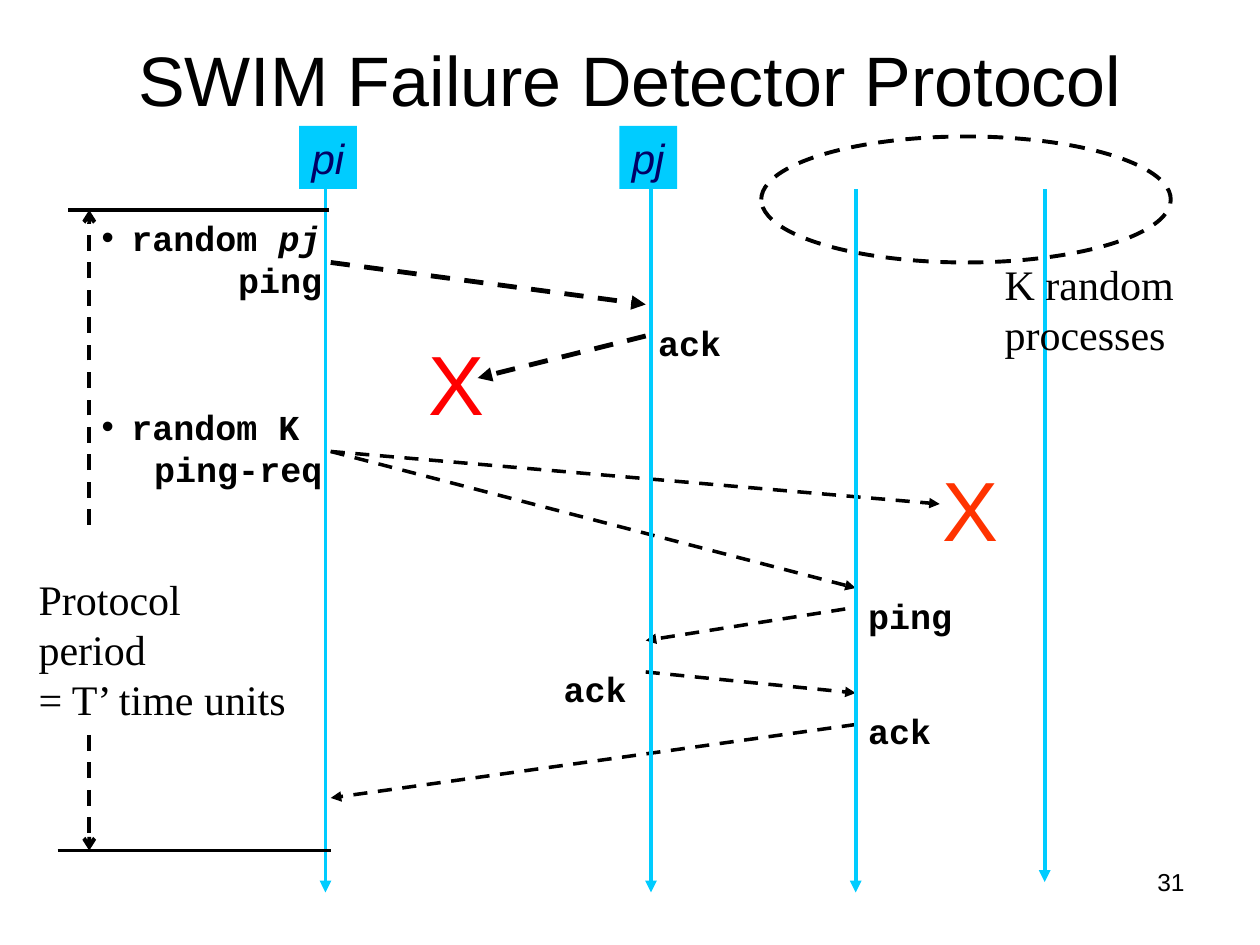
from lxml import etree
from pptx import Presentation
from pptx import util as u
from pptx.dml.color import RGBColor
from pptx.enum import dml, shapes, text
from pptx.oxml.ns import qn

Pt = u.Pt
BLACK, CYAN, NAVY = "000000", "00CCFF", "000066"

# Text formats
CODE = dict(name="Courier New", size=Pt(20), bold=True)
NOTE = dict(name="Times New Roman", size=Pt(24))
CROSS = dict(name="Arial", size=Pt(48))
TITLE = dict(name="Arial", size=Pt(40))
NUMBER = dict(name="Arial", size=Pt(14))
PROCESS = dict(name="Arial", size=Pt(24), italic=True)

# Process timelines: x, top, bottom
PI, PJ, PK = 186, 372, 489
timelines = [(PI, 108, 510), (PJ, 108, 510), (PK, 108, 510), (597, 108, 504)]
process_boxes = [("pi", 171), ("pj", 354)]

# Messages: x1, y1, x2, y2, line width
A, B = 189, 369
messages = [
    (A, 150, B, 174, 2.75),
    (B, 192, 273, 216, 2.75),
    (A, 258, PK, 336, 2),
    (A, 258, 537, 288, 2),
    (483, 348, B, 366, 2),
    (B, 384, PK, 396, 2),
    (PK, 414, A, 456, 2),
]

# Protocol period: horizontal limits, and the arrows that point to them
limits = [(39, 188, 120), (33, 189, 486)]
period_x = 51
period_arrows = [(300, 120), (420, 486)]

# Labels: lines, left, top, width, height, format, colour
labels = [
    (["Protocol", "period", "= T’ time units"], 15, 324, 163, 93.6, NOTE, BLACK),
    (["K random", "processes"], 567, 144, 111, 64.8, NOTE, BLACK),
    (["X"], 237.6, 186, 46, 64.8, CROSS, "FF0000"),
    (["X"], 531.6, 258, 46, 64.8, CROSS, "FF3300"),
    (["ping"], 129, 144, 63, 31.5, CODE, BLACK),
    (["ack"], B, 180, 74, 31.5, CODE, BLACK),
    (["ping-req"], 81, 252, 120, 31.5, CODE, BLACK),
    (["ping"], PK, 336, 74, 31.5, CODE, BLACK),
    (["ack"], 315, 378, 54, 31.5, CODE, BLACK),
    (["ack"], PK, 402, 54, 31.5, CODE, BLACK),
]

# Steps of pi: runs of (text, italic), top
steps = [([("random ", False), ("pj", True)], 120), ([("random K", False)], 228)]

prs = Presentation()
prs.slide_width, prs.slide_height = Pt(720), Pt(540)
s = prs.slides.add_slide(prs.slide_layouts[6])


def rgb(value):
    return RGBColor.from_string(value)


def style(font, fmt, color):
    for key, value in fmt.items():
        setattr(font, key, value)
    font.color.rgb = rgb(color)


def fill_text(sp, lines, fmt, color, align=text.PP_ALIGN.LEFT, wrap=False):
    tf = sp.text_frame
    tf.word_wrap = wrap
    tf.vertical_anchor = text.MSO_ANCHOR.TOP
    for i, line in enumerate(lines):
        p = tf.paragraphs[0] if i == 0 else tf.add_paragraph()
        p.alignment = align
        r = p.add_run()
        r.text = line
        style(r.font, fmt, color)
    return tf


def add_text(lines, x, y, w, h, fmt, color, align=text.PP_ALIGN.LEFT, wrap=False):
    sp = s.shapes.add_textbox(Pt(x), Pt(y), Pt(w), Pt(h))
    return fill_text(sp, lines, fmt, color, align, wrap)


def add_line(x1, y1, x2, y2, color=BLACK, width=2.25, dashed=False, arrow=None):
    c = s.shapes.add_connector(shapes.MSO_CONNECTOR.STRAIGHT,
                               Pt(x1), Pt(y1), Pt(x2), Pt(y2))
    c.line.color.rgb = rgb(color)
    c.line.width = Pt(width)
    if dashed:
        c.line.dash_style = dml.MSO_LINE.DASH
    if arrow:
        etree.SubElement(c.line._get_or_add_ln(), qn("a:tailEnd"), type=arrow)
    etree.SubElement(c._element.spPr, qn("a:effectLst"))


# Title and slide number
tf = add_text(["SWIM Failure Detector Protocol"], 54, 18, 612, 54, TITLE, BLACK,
              text.PP_ALIGN.CENTER, True)
tf.vertical_anchor = text.MSO_ANCHOR.MIDDLE
add_text(["31"], 516, 492, 168, 37.5, NUMBER, BLACK, text.PP_ALIGN.RIGHT, True)

# Messages, then the timelines above them
for *ends, width in messages:
    add_line(*ends, width=width, dashed=True, arrow="triangle")
for x, top, bottom in timelines:
    add_line(x, top, x, bottom, CYAN, arrow="triangle")

# Group of K random processes
sp = s.shapes.add_shape(shapes.MSO_SHAPE.OVAL, Pt(435), Pt(78), Pt(234), Pt(72))
sp.shadow.inherit = False
sp.fill.background()
sp.line.color.rgb = rgb(BLACK)
sp.line.width = Pt(2.25)
sp.line.dash_style = dml.MSO_LINE.DASH

# Process boxes
for name, x in process_boxes:
    sp = s.shapes.add_shape(shapes.MSO_SHAPE.RECTANGLE, Pt(x), Pt(72), Pt(33), Pt(36))
    sp.shadow.inherit = False
    sp.fill.solid()
    sp.fill.fore_color.rgb = rgb(CYAN)
    sp.line.fill.background()
    fill_text(sp, [name], PROCESS, NAVY)

# Protocol period
for x1, x2, y in limits:
    add_line(x1, y, x2, y)
for start, end in period_arrows:
    add_line(period_x, start, period_x, end, dashed=True, arrow="arrow")

# Labels
for label in labels:
    tf = add_text(*label)
    if label[5] is NOTE:
        for p in tf.paragraphs:
            p.line_spacing = Pt(28.8)

# Bulleted steps
for runs, top in steps:
    p = add_text([], period_x, top, 150, 31.5, CODE, BLACK).paragraphs[0]
    pPr = p._p.get_or_add_pPr()
    pPr.set("marL", str(Pt(17)))
    pPr.set("indent", str(-Pt(17)))
    etree.SubElement(pPr, qn("a:buFont"), typeface="Arial")
    etree.SubElement(pPr, qn("a:buChar"), char="•")
    for words, italic in runs:
        r = p.add_run()
        r.text = words
        style(r.font, dict(CODE, italic=italic), BLACK)

prs.save("out.pptx")
